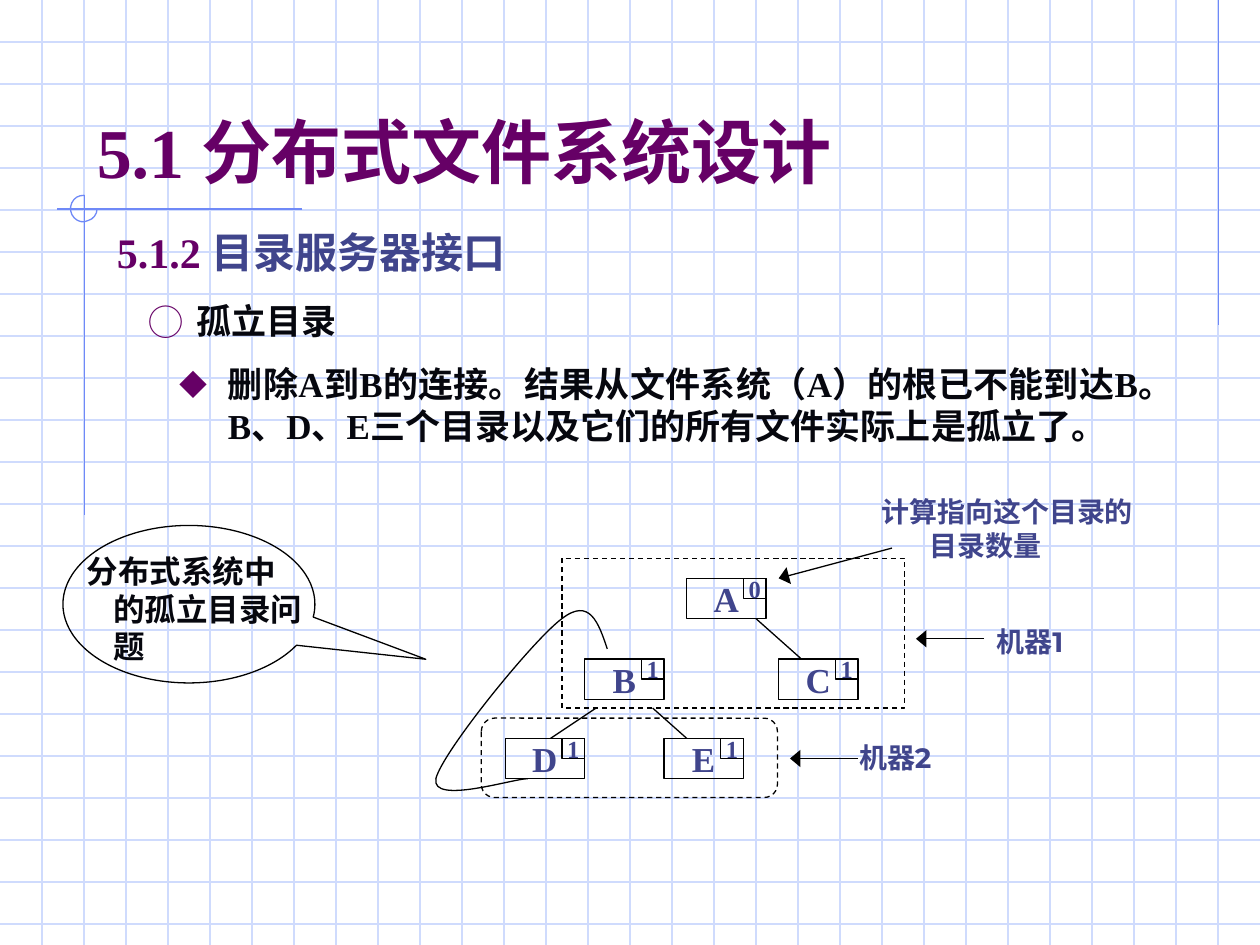
from dataclasses import dataclass
from typing import Optional

from lxml.etree import SubElement
from pptx import Presentation
from pptx.dml.color import RGBColor
from pptx.enum.dml import MSO_LINE
from pptx.enum.shapes import MSO_CONNECTOR, MSO_SHAPE
from pptx.enum.text import MSO_ANCHOR, PP_ALIGN
from pptx.oxml.ns import qn
from pptx.util import Inches, Pt

GRID, RULE, BLACK = "CFDBFD", "6F89F7", "000000"
PURPLE, BLUE, INK = "660066", "40458C", "06070E"
SERIF, SANS, CJK = "Times New Roman", "Montserrat", "Noto Sans CJK SC"
NODE_WIDTH, NODE_HEIGHT = 0.63, 0.32
BADGE_WIDTH, BADGE_HEIGHT = 0.18, 0.16


@dataclass
class Run:
    text: str
    color: str
    latin: str = SANS
    east_asian: str = SANS


@dataclass
class Bullet:
    symbol: str
    percent: int = 100


@dataclass
class TextBlock:
    box: tuple[float, float, float, float]
    runs: list[Run]
    size: float
    before: float
    align: PP_ALIGN = PP_ALIGN.LEFT
    anchor: MSO_ANCHOR = MSO_ANCHOR.TOP
    margin: float = 0.38
    indent: float = -0.38
    bullet: Optional[Bullet] = None


@dataclass
class Node:
    name: str
    count: str
    left: float
    top: float


@dataclass
class Line:
    start: tuple[float, float]
    end: tuple[float, float]
    color: str = BLACK
    arrow: bool = False


def set_all(target, values: dict) -> None:
    for name, value in values.items():
        setattr(target, name, value)


def rgb(color: str) -> RGBColor:
    return RGBColor.from_string(color)


def style_outline(shape, color: str = BLACK, dashed: bool = False) -> None:
    shape.shadow.inherit = False
    shape.fill.background()
    shape.line.color.rgb = rgb(color)
    shape.line.width = Pt(0.75)
    if dashed:
        shape.line.dash_style = MSO_LINE.DASH


def add_line(slide, line: Line) -> None:
    points = [Inches(value) for value in (*line.start, *line.end)]
    connector = slide.shapes.add_connector(MSO_CONNECTOR.STRAIGHT, *points)
    connector.line.color.rgb = rgb(line.color)
    connector.line.width = Pt(0.75)
    if line.arrow:
        SubElement(connector.line._get_or_add_ln(), qn("a:tailEnd"), type="triangle", w="lg")
    SubElement(connector._element.spPr, qn("a:effectLst"))


def add_outline(slide, preset: MSO_SHAPE, box: tuple, dashed: bool = False):
    shape = slide.shapes.add_shape(preset, *map(Inches, box))
    style_outline(shape, dashed=dashed)
    return shape


def add_curve(slide, points: list[tuple[float, float]], color: str) -> None:
    """Draw cubic curves: a start point, then three points for each curve."""
    start, *others = [(Inches(x), Inches(y)) for x, y in points]
    builder = slide.shapes.build_freeform(*start)
    builder.add_line_segments(others, close=False)
    shape = builder.convert_to_shape()
    style_outline(shape, color)
    segments = list(shape._element.iter(qn("a:lnTo")))
    for first in range(0, len(segments), 3):
        curve = SubElement(segments[first].getparent(), qn("a:cubicBezTo"))
        for segment in segments[first:first + 3]:
            curve.append(segment[0])
            segment.getparent().remove(segment)


def fill_paragraph(paragraph, runs: list[Run], size: float, before: float,
                   align: PP_ALIGN, margin: float = 0.38, indent: float = -0.38) -> None:
    set_all(paragraph, {"alignment": align, "space_before": Pt(before)})
    properties = paragraph._p.get_or_add_pPr()
    properties.set("marL", str(Inches(margin)))
    properties.set("indent", str(Inches(indent)))
    for item in runs:
        run = paragraph.add_run()
        run.text = item.text
        set_all(run.font, {"size": Pt(size), "bold": True, "name": item.latin})
        run.font.color.rgb = rgb(item.color)
        SubElement(run._r.get_or_add_rPr(), qn("a:ea"), typeface=item.east_asian)


def add_text(slide, block: TextBlock) -> None:
    frame = slide.shapes.add_textbox(*map(Inches, block.box)).text_frame
    set_all(frame, {"word_wrap": True, "vertical_anchor": block.anchor})
    paragraph = frame.paragraphs[0]
    fill_paragraph(paragraph, block.runs, block.size, block.before,
                   block.align, block.margin, block.indent)
    if block.bullet:
        properties = paragraph._p.get_or_add_pPr()
        bullet_color = SubElement(properties, qn("a:buClr"))
        SubElement(bullet_color, qn("a:srgbClr"), val=PURPLE)
        SubElement(properties, qn("a:buSzPct"), val=str(block.bullet.percent * 1000))
        SubElement(properties, qn("a:buFont"), typeface=CJK)
        SubElement(properties, qn("a:buChar"), char=block.bullet.symbol)


def add_label_box(slide, box: tuple, text: str, size: float, before: float) -> None:
    frame = add_outline(slide, MSO_SHAPE.RECTANGLE, box).text_frame
    set_all(frame, {"word_wrap": False, "vertical_anchor": MSO_ANCHOR.MIDDLE})
    fill_paragraph(frame.paragraphs[0], [Run(text, BLUE, SERIF)], size, before, PP_ALIGN.CENTER)


def add_node(slide, node: Node) -> None:
    add_label_box(slide, (node.left, node.top, NODE_WIDTH, NODE_HEIGHT), node.name, 20, 5)
    badge_left = node.left + NODE_WIDTH - BADGE_WIDTH
    add_label_box(slide, (badge_left, node.top, BADGE_WIDTH, BADGE_HEIGHT), node.count, 14, 3.5)


RULES = [
    Line((9.67, 0), (9.67, 2.58), RULE),
    Line((2.4, 1.66), (0.45, 1.66), RULE),
    Line((0.67, 1.55), (0.67, 4.09), RULE),
]
RING = [(0.67, 1.55), (0.62, 1.55), (0.59, 1.57), (0.57, 1.61),
        (0.55, 1.65), (0.56, 1.7), (0.59, 1.73), (0.62, 1.76), (0.66, 1.77), (0.7, 1.75),
        (0.74, 1.74), (0.77, 1.7), (0.77, 1.66)]
LOOP = [(4.82, 5.15), (4.75, 4.94), (4.68, 4.74), (4.46, 4.91),
        (4.23, 5.08), (3.51, 5.97), (3.46, 6.18), (3.42, 6.39), (4.07, 6.18), (4.19, 6.18)]
NODES = [
    Node("A", "0", 5.45, 4.59),
    Node("B", "1", 4.64, 5.23),
    Node("C", "1", 6.18, 5.23),
    Node("D", "1", 4.01, 5.86),
    Node("E", "1", 5.27, 5.86),
]
LINKS = [
    Line((6, 4.91), (6.36, 5.23)),
    Line((4.73, 5.62), (4.37, 5.86)),
    Line((5.18, 5.62), (5.45, 5.86)),
    Line((7.08, 4.35), (6.18, 4.59), arrow=True),
    Line((7.81, 5.07), (7.27, 5.07), arrow=True),
    Line((6.81, 6.02), (6.27, 6.02), arrow=True),
]
TEXTS = [
    TextBlock((0.67, 0.33, 8.5, 1.25),
              [Run("5.1 ", PURPLE, SERIF, CJK), Run("分布式文件系统设计", PURPLE, CJK, CJK)],
              40, 0, anchor=MSO_ANCHOR.BOTTOM, margin=0, indent=0),
    TextBlock((0.83, 1.75, 8.75, 0.5),
              [Run("5.1.2 ", PURPLE, SERIF, CJK), Run("目录服务器接口", BLUE, CJK, CJK)],
              24, 6, PP_ALIGN.JUSTIFY),
    TextBlock((1.08, 2.33, 8.25, 0.44), [Run("孤立目录", INK)],
              20, 5, PP_ALIGN.JUSTIFY, bullet=Bullet("◯")),
    TextBlock((1.33, 2.83, 8.08, 1.51),
              [Run("删除", INK), Run("A到B", INK, SERIF),
               Run("的连接。结果从文件系统（", INK), Run("A", INK, SERIF),
               Run("）的根已不能到达", INK),
               Run("B。B、D、E三个目录以及它们的所有文件实际上是孤立了。", INK, SERIF)],
              20, 5, PP_ALIGN.JUSTIFY, bullet=Bullet("◆", 80)),
    TextBlock((6.9, 3.88, 2.26, 0.64), [Run("计算指向这个目录的目录数量", BLUE)], 16, 10),
    TextBlock((7.81, 4.91, 1.09, 0.37), [Run("机器1", BLUE)], 16, 10),
    TextBlock((6.72, 5.83, 1.09, 0.37), [Run("机器2", BLUE)], 16, 10),
    TextBlock((0.42, 4.33, 2.08, 1), [Run("分布式系统中的孤立目录问题", INK)],
              18, 11.2, indent=-0.21),
]


def main() -> None:
    presentation = Presentation()
    set_all(presentation, {"slide_width": Inches(10), "slide_height": Inches(7.5)})
    slide = presentation.slides.add_slide(presentation.slide_layouts[6])

    # Background grid, three cells to the inch, and its accent rules
    rows = [Line((0, row / 3), (10, row / 3), GRID) for row in range(1, 23)]
    columns = [Line((column / 3, 0), (column / 3, 7.5), GRID) for column in range(1, 30)]
    for line in rows + columns + RULES:
        add_line(slide, line)
    add_curve(slide, RING, RULE)

    # Directory tree on two machines
    for node in NODES:
        add_node(slide, node)
    for link in LINKS:
        add_line(slide, link)
    add_curve(slide, LOOP, BLACK)
    add_outline(slide, MSO_SHAPE.FLOWCHART_ALTERNATE_PROCESS, (3.82, 5.7, 2.35, 0.63), dashed=True)
    add_outline(slide, MSO_SHAPE.RECTANGLE, (4.46, 4.43, 2.72, 1.19), dashed=True)

    # Speech bubble, then all texts
    bubble = add_outline(slide, MSO_SHAPE.OVAL_CALLOUT, (0.5, 4.17, 2, 1.25))
    bubble.adjustments[0], bubble.adjustments[1] = 0.94, 0.35
    for block in TEXTS:
        add_text(slide, block)

    presentation.save("out.pptx")


if __name__ == "__main__":
    main()
